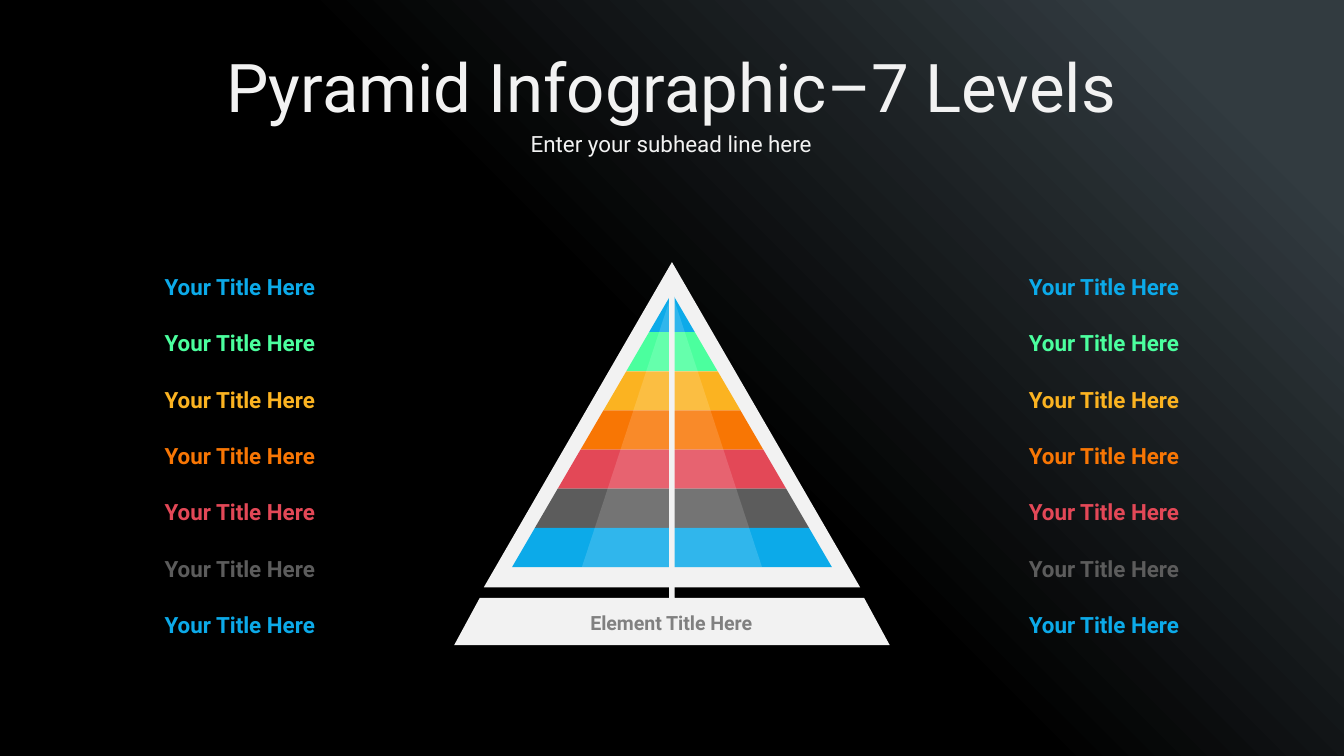
from lxml import etree
from pptx import Presentation
from pptx.dml.color import RGBColor
from pptx.enum import text
from pptx.oxml.ns import qn
from pptx.util import Inches, Pt

FONT = "Roboto"
BLACK = RGBColor(0x00, 0x00, 0x00)
SLATE = RGBColor(0x32, 0x3B, 0x40)
WHITE = RGBColor(0xFF, 0xFF, 0xFF)
PALE = RGBColor(0xF2, 0xF2, 0xF2)
GREY = RGBColor(0x80, 0x80, 0x80)
BLUE = RGBColor(0x0C, 0xAA, 0xE9)
GREEN = RGBColor(0x4B, 0xFF, 0x9E)
YELLOW = RGBColor(0xFB, 0xB3, 0x21)
ORANGE = RGBColor(0xF8, 0x76, 0x04)
RED = RGBColor(0xE3, 0x48, 0x57)
CHARCOAL = RGBColor(0x5C, 0x5C, 0x5C)
LEVELS = [BLUE, GREEN, YELLOW, ORANGE, RED, CHARCOAL, BLUE]

CENTER = 5
APEX, BASE = 2.18, 4.22
LEVEL_HEIGHT = (BASE - APEX) / len(LEVELS)
LEVEL_SPREAD = 0.17
LABEL_TOP, LABEL_PITCH = 1.94, 0.42


def paint_background(page):
    fill = page.background.fill
    fill.gradient()
    fill.gradient_angle = 45
    for stop, color, position in zip(fill.gradient_stops, (BLACK, SLATE), (0.5, 0.9)):
        stop.color.rgb = color
        stop.position = position


def write(box, words, size, color, bold=False):
    """Put one centred line of text in a box or placeholder."""
    frame = box.text_frame
    frame.text = words
    frame.vertical_anchor = text.MSO_ANCHOR.MIDDLE
    para = frame.paragraphs[0]
    para.alignment = text.PP_ALIGN.CENTER
    font = para.runs[0].font
    font.name, font.size, font.bold = FONT, Pt(size), bold
    font.color.rgb = color
    return para


def fill_placeholder(holder, words, size, top, height):
    holder.left, holder.top = Inches(0.42), Inches(top)
    holder.width, holder.height = Inches(9.15), Inches(height)
    frame = holder.text_frame
    frame.margin_left = frame.margin_right = 0
    frame.margin_top = frame.margin_bottom = 0
    frame.auto_size = text.MSO_AUTO_SIZE.NONE
    return write(holder, words, size, PALE)


def remove_bullet(para):
    properties = para._p.get_or_add_pPr()
    properties.set("marL", "0")
    properties.set("indent", "0")
    etree.SubElement(properties, qn("a:buNone"))


def add_label(page, words, left, top, width, height, size, color):
    box = page.shapes.add_textbox(
        Inches(left), Inches(top), Inches(width), Inches(height))
    box.text_frame.word_wrap = True
    return write(box, words, size, color, bold=True)


def add_symmetric(group, right_side, color):
    """Draw a polygon from its right half, given as (distance from centre, y)."""
    left_side = [(-x, y) for x, y in reversed(right_side) if x]
    points = [(Inches(CENTER + x), Inches(y)) for x, y in right_side + left_side]
    builder = group.shapes.build_freeform(*points[0], scale=1.0)
    builder.add_line_segments(points[1:], close=True)
    shape = builder.convert_to_shape()
    shape.shadow.inherit = False
    shape.fill.solid()
    shape.fill.fore_color.rgb = color
    shape.line.fill.background()
    return shape


def add_pyramid(page):
    group = page.shapes.add_group_shape()
    add_symmetric(group, [(0, 1.95), (1.4, 4.37)], PALE)
    for level, color in enumerate(LEVELS):
        edges = [(LEVEL_SPREAD * step, APEX + LEVEL_HEIGHT * step)
                 for step in (level, level + 1)]
        add_symmetric(group, edges, color)

    highlight = add_symmetric(group, [(0, APEX), (0.67, BASE)], WHITE)
    color = highlight.fill._xPr.find(qn("a:solidFill"))[0]
    etree.SubElement(color, qn("a:alpha")).set("val", "15000")

    stem_and_base = [(0.02, 2.16), (0.02, 4.45), (1.43, 4.45), (1.62, 4.8)]
    add_symmetric(group, stem_and_base, PALE)


def main():
    deck = Presentation()
    deck.slide_width = Inches(10)
    deck.slide_height = deck.slide_width * 9 // 16
    page = deck.slides.add_slide(deck.slide_layouts[1])
    paint_background(page)

    fill_placeholder(page.shapes.title, "Pyramid Infographic–7 Levels", 36, 0.37, 0.54)
    subhead = page.placeholders[1]
    para = fill_placeholder(subhead, "Enter your subhead line here", 12, 0.97, 0.19)
    para.space_before = Pt(0)
    remove_bullet(para)
    subhead.text_frame.word_wrap = False

    add_pyramid(page)
    for level, color in enumerate(LEVELS):
        for left in (6.85, 0.42):
            para = add_label(page, "Your Title Here", left,
                             LABEL_TOP + LABEL_PITCH * level, 2.73, 0.34, 12, color)
            para.line_spacing = 1.2
    add_label(page, "Element Title Here", 4.07, 4.49, 1.85, 0.28, 10.5, GREY)

    deck.save("out.pptx")


if __name__ == "__main__":
    main()
